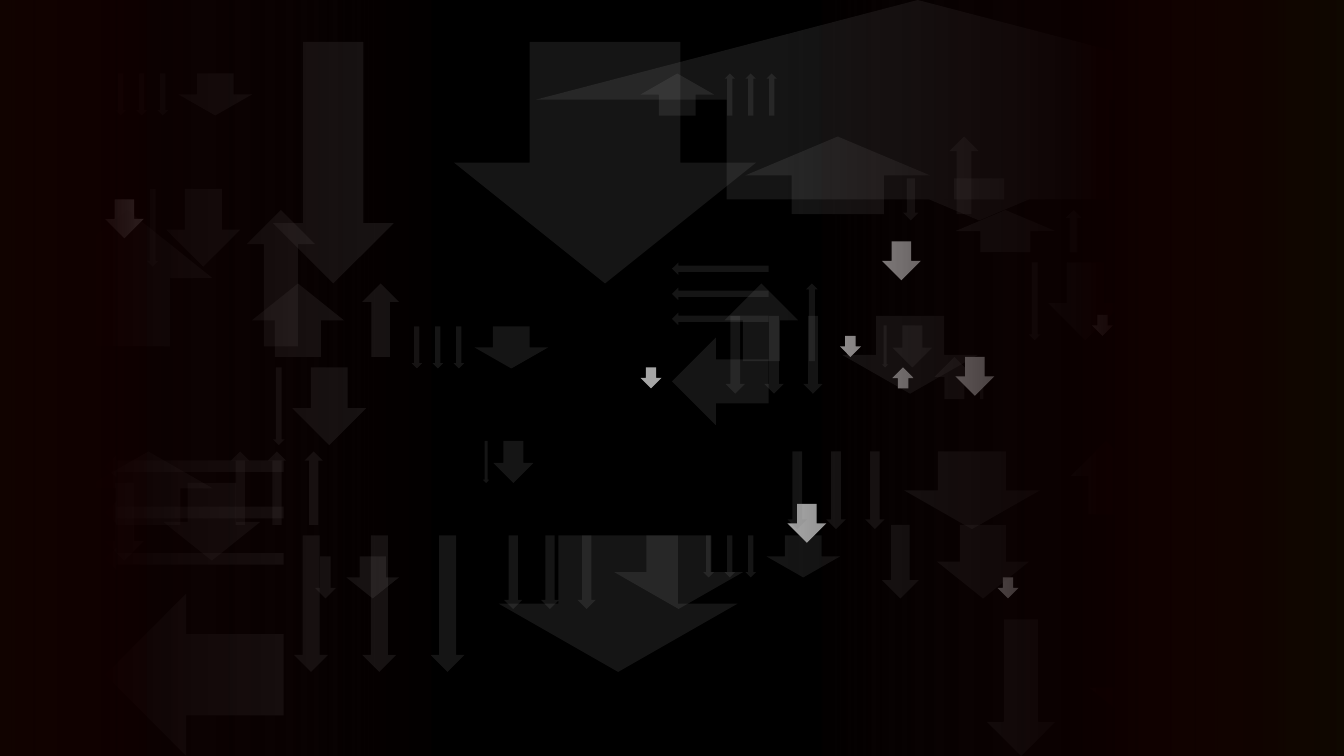
import pptx
import pptx.dml.color
import pptx.enum.shapes
import pptx.oxml
import pptx.oxml.ns
import pptx.util
from pptx.util import Cm

RGB = pptx.dml.color.RGBColor
SHAPE = pptx.enum.shapes.MSO_SHAPE

BLACK = RGB(0x00, 0x00, 0x00)
COAL = RGB(0x0D, 0x0D, 0x0D)
GRAY = RGB(0x80, 0x80, 0x80)
SILVER = RGB(0xA6, 0xA6, 0xA6)
WINE = RGB(0xC0, 0x00, 0x00)
RED = RGB(0xFF, 0x00, 0x00)
GREEN = RGB(0x00, 0xC0, 0x09)

CELL = 25.4 / 128  # the slide is a grid of 128 by 72 cells
DOWN, LEFT, UP = 0, 90, 180

# Offset and width of each arrow in a row, as multiples of the row's unit
ROWS = {
    "trio": ((0, 0.25), (0.5, 0.25), (1, 0.25), (1.5, 1.75)),
    "pair": ((0, 0.5), (0.75, 1.25)),
    "duo": ((0, 0.15), (0.25, 0.95)),
    "roof": ((0, 1),),
    "dot": ((0, 1),),
}

# Row, x, y, unit, arrow length, turn: in cells, from back to front
ARROWS = (
    ("trio", 11, 7, 4, 4, DOWN),
    ("duo", 84, 31, 4, 4, DOWN),
    ("pair", 30, 53, 4, 4, DOWN),
    ("dot", 104, 30, 2, 2, DOWN),
    ("dot", 80, 32, 2, 2, DOWN),
    ("roof", 51, 0, 72.8, 19, UP),
    ("duo", 86, 17, 10, 4, DOWN),
    ("pair", 26, 4, 23, 23, DOWN),
    ("trio", 39.2, 31.1, 4, 4, DOWN),
    ("duo", 46, 42, 4, 4, DOWN),
    ("trio", 8, 43, 7, 7, UP),
    ("duo", 102, 42, 7, 7, UP),
    ("pair", 24, 27, 7, 7, UP),
    ("dot", 95, 55, 2, 2, DOWN),
    ("dot", 61, 35, 2, 2, DOWN),
    ("trio", 67, 51, 4, 4, DOWN),
    ("trio", 64, 25, 4.77, 9.2, LEFT),
    ("trio", 61, 7, 4, 4, UP),
    ("duo", 89, 34, 4, 4, UP),
    ("dot", 85, 35, 2, 2, UP),
    ("duo", 91, 20, 10, 4, UP),
    ("trio", 48, 51, 7, 7, DOWN),
    ("pair", 84, 50, 7, 7, DOWN),
    ("duo", 14, 18, 7.4, 7.4, DOWN),
    ("pair", 10, 46, 7.4, 7.4, DOWN),
    ("dot", 84, 23, 3.7, 3.7, DOWN),
    ("dot", 10, 19, 3.7, 3.7, DOWN),
    ("trio", 69.1, 30.1, 7.4, 7.4, DOWN),
    ("duo", 26, 35, 7.4, 7.4, DOWN),
    ("pair", 4, 20, 13, 13, UP),
    ("duo", 98, 25, 7.4, 7.4, DOWN),
    ("dot", 75, 48, 3.7, 3.7, DOWN),
    ("dot", 91, 34, 3.7, 3.7, DOWN),
    ("trio", 75, 43, 7.4, 7.4, DOWN),
    ("trio", 10, 43.3, 8.83, 17, LEFT),
    ("duo", 69, 27, 7.4, 7.4, UP),
    ("duo", 71, 13, 18.5, 7.4, UP),
    ("trio", 28, 51, 13, 13, DOWN),
    ("pair", 94, 59, 13, 13, DOWN),
)

# x, y, turn, then colour and opacity of the dense and the clear end
VEILS = (
    (75, -12, 0, BLACK, 100, COAL),
    (-23, -12, 180, BLACK, 100, COAL),
    (77.2, -9.9, 0, WINE, 6, RED),
    (-20.9, -9.9, 180, WINE, 6, RED),
    (102, -9, 0, GREEN, 6, RED),
    (-48, -11, 180, GREEN, 6, RED),
)


def fade(node, rate):
    """Set the opacity, in percent, of the colour inside a fill or stop."""
    tint = node.find(".//" + pptx.oxml.ns.qn("a:srgbClr"))
    alpha = pptx.oxml.parse_xml(
        f'<a:alpha {pptx.oxml.ns.nsdecls("a")} val="{rate * 1000}"/>')
    tint.append(alpha)


def draw(home, kind, box, turn):
    """Add a plain shape whose box is given in cells before turning."""
    shape = home.add_shape(kind, *(Cm(n * CELL) for n in box))
    shape.rotation = turn
    shape.shadow.inherit = False
    shape.line.fill.background()
    return shape


deck = pptx.Presentation()
for name, size in {"slide_width": 128, "slide_height": 72}.items():
    setattr(deck, name, Cm(size * CELL))
slide = deck.slides.add_slide(deck.slide_layouts[6])
slide.background.fill.solid()
slide.background.fill.fore_color.rgb = BLACK

for row, x, y, unit, length, turn in ARROWS:
    parts = ROWS[row]
    home = slide.shapes
    if len(parts) > 1:
        home = home.add_group_shape().shapes
    span = sum(parts[-1]) * unit
    for step, ratio in parts:
        start, wide = step * unit, ratio * unit
        if x + span - start - wide > 108 and turn == UP:
            continue  # this far right the veil is solid
        if turn == UP:
            box = (x + span - start - wide, y, wide, length)
        elif turn == LEFT:
            box = (x + (length - wide) / 2,
                   y + start + (wide - length) / 2, wide, length)
        else:
            box = (x + start, y, wide, length)
        arrow = draw(home, SHAPE.DOWN_ARROW, box, turn)
        arrow.fill.solid()
        arrow.fill.fore_color.rgb = SILVER if row == "dot" else GRAY
        if row != "dot":
            fade(arrow.element.spPr, 17)
        if row == "duo":
            arrow.element.spPr.xfrm.set("flipH", "1")

for x, y, turn, dense, rate, clear in VEILS:
    veil = draw(slide.shapes, SHAPE.RECTANGLE, (x, y, 63, 88), turn)
    veil.fill.gradient()
    veil.fill.gradient_angle = 180
    ends = ((0.48, dense, rate), (1, clear, 0))
    stops = veil.fill.gradient_stops
    for stop, (place, color, part) in zip(stops, ends):
        stop.position = place
        stop.color.rgb = color
    nodes = veil.element.spPr.iter(pptx.oxml.ns.qn("a:gs"))
    for node, (place, color, part) in zip(nodes, ends):
        fade(node, part)

deck.save("out.pptx")
